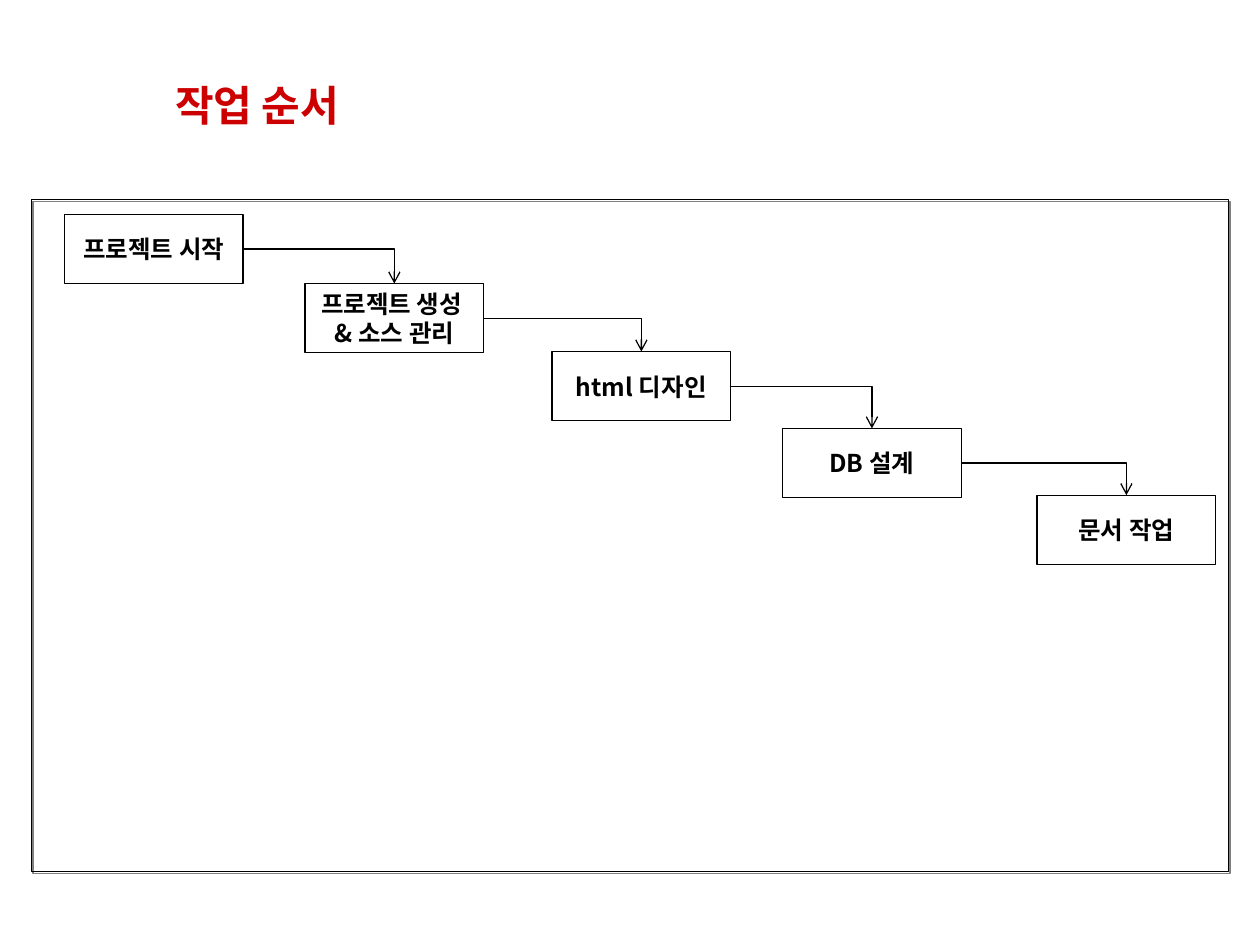
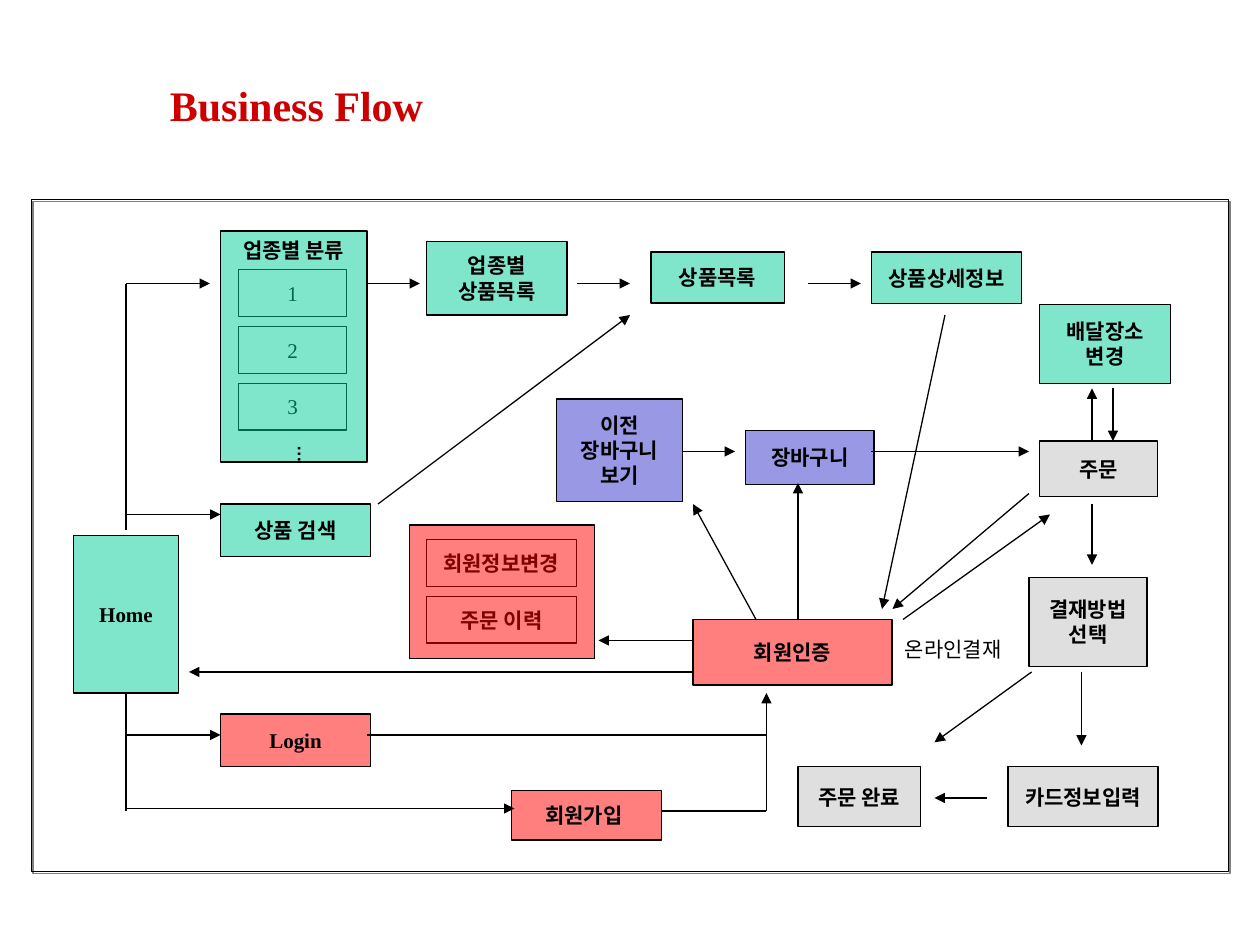
from lxml import etree
from pptx import Presentation
from pptx import util as u
from pptx.dml.color import RGBColor
from pptx.enum import shapes, text
from pptx.oxml import ns

BLACK = RGBColor(0x00, 0x00, 0x00)
WHITE = RGBColor(0xFF, 0xFF, 0xFF)
RED = RGBColor(0xCC, 0x00, 0x00)
SHOP = RGBColor(0x00, 0xCC, 0x99)
CART = RGBColor(0x33, 0x33, 0xCC)
MEMBER = RGBColor(0xFF, 0x00, 0x00)
ORDER = RGBColor(0xC0, 0xC0, 0xC0)
SERIF, KOREAN, SANS = "Times New Roman", "Noto Sans CJK KR", "Arial"

# Every place is in grid cells of 1/12 inch: left, top, width, height.
CELL = u.Inches(1) / 12
COLS, ROWS = 120, 90
FRAME = (3, 19, 114, 64)

STEP_SIZE = (17.04, 6.6)
STEPS = [
    ("프로젝트 시작", 6.12, 20.4),
    ("프로젝트 생성 \n& 소스 관리", 29.04, 27),
    ("html 디자인", 52.56, 33.48),
    ("DB 설계", 74.52, 40.8),
    ("문서 작업", 98.76, 47.16),
]

CATEGORIES = ["1", "2", "3"]
CATEGORY_FIRST, CATEGORY_PITCH = (22.75, 25.7, 10.25, 4.45), 5.4
ACCOUNT_ITEMS = ["회원정보변경", "주문 이력"]
ACCOUNT_FIRST, ACCOUNT_PITCH = (40.6, 51.4, 14.3, 4.45), 5.4
CATEGORY_PANEL = ("업종별 분류", SHOP, (21, 22, 13.95, 22))
ACCOUNT_PANEL = ("", MEMBER, (39, 50, 17.65, 12.75))

STAGES = [
    ("Home", SHOP, (7, 51, 10, 15)),
    ("업종별\n상품목록", SHOP, (40.65, 23, 13.35, 7)),
    ("상품목록", SHOP, (62, 24, 12.7, 4.85)),
    ("상품상세정보", SHOP, (83, 24, 14.3, 4.9)),
    ("상품 검색", SHOP, (21, 48, 14.3, 5)),
    ("배달장소\n변경", SHOP, (99, 29, 12.5, 7.5)),
    ("이전\n장바구니\n보기", CART, (53, 38, 12, 9.75)),
    ("장바구니", CART, (71, 41, 12.25, 5.15)),
    ("주문", ORDER, (99, 42, 11.25, 5.3)),
    ("결재방법\n선택", ORDER, (98, 55, 11.25, 8.45)),
    ("카드정보입력", ORDER, (96, 73, 14.3, 5.75)),
    ("주문 완료", ORDER, (76, 73, 11.65, 5.75)),
    ("회원인증", MEMBER, (66, 59, 18.95, 6.25)),
    ("회원가입 ", MEMBER, (48.7, 75.3, 14.3, 4.7)),
    ("Login", MEMBER, (21, 68, 14.3, 5)),
]

PLAIN_LINES = [
    (12, 50.5, 12, 27), (12, 66, 12, 77.25),
    (35, 70, 73, 70), (63, 77.25, 73, 77.25),
]
ARROWS = [
    # Home to the catalogue and the member area
    (12, 27, 20, 27), (12, 49, 21, 49), (12, 70, 21, 70), (12, 77, 49, 77),
    # Along the catalogue
    (35, 27, 40, 27), (55, 27, 60, 27), (77, 27, 82, 27), (36, 48, 60, 30),
    # Into and out of member verification
    (90, 30, 84, 58), (98, 47, 85, 58), (86, 59, 100, 49), (72, 59, 66, 48),
    (76, 59, 76, 46), (66, 61, 57, 61), (66, 64, 18, 64), (73, 77.25, 73, 66),
    # Cart, order and payment
    (65, 43, 70, 43), (83, 43, 98, 43), (104, 42, 104, 37), (106, 37, 106, 42),
    (104, 48, 104, 53.8), (98.25, 64, 89, 70.7), (103, 64, 103, 71),
    (94, 76, 89, 76),
]


def cells(*values):
    return [round(v * CELL) for v in values]


def write(s, words, size=12, bold=True, font=SERIF, color=BLACK, align=None):
    """Fill a shape with one paragraph per line of words."""
    tf = s.text_frame
    tf.word_wrap = False
    for i, line in enumerate(words.split("\n")):
        p = tf.paragraphs[0] if i == 0 else tf.add_paragraph()
        p.alignment = align
        r = p.add_run()
        r.text = line
        r.font.size, r.font.bold, r.font.name = u.Pt(size), bold, font
        r.font.color.rgb = color
        ea = etree.SubElement(r._r.get_or_add_rPr(), ns.qn("a:ea"))
        ea.set("typeface", KOREAN)
    return tf


def add_label(slide, words, place, **style):
    return write(slide.shapes.add_textbox(*cells(*place)), words, **style)


def add_box(slide, place, words="", fill=None, alpha=None, **style):
    s = slide.shapes.add_shape(shapes.MSO_SHAPE.RECTANGLE, *cells(*place))
    s.shadow.inherit = False
    s.line.color.rgb, s.line.width = BLACK, u.Pt(0.75)
    if fill is None:
        s.fill.background()
    else:
        s.fill.solid()
        s.fill.fore_color.rgb = fill
    if alpha:
        clr = s._element.spPr.find(ns.qn("a:solidFill"))[0]
        etree.SubElement(clr, ns.qn("a:alpha")).set("val", str(alpha * 1000))
    if words:
        tf = write(s, words, align=text.PP_ALIGN.CENTER, **style)
        tf.vertical_anchor = text.MSO_ANCHOR.MIDDLE
    return s


def add_line(slide, ends, kind=shapes.MSO_CONNECTOR.STRAIGHT, arrow=None):
    c = slide.shapes.add_connector(kind, *cells(*ends))
    c.line.color.rgb, c.line.width = BLACK, u.Pt(0.75)
    if arrow:
        tail = etree.SubElement(c.line._get_or_add_ln(), ns.qn("a:tailEnd"))
        tail.set("type", arrow)
    etree.SubElement(c._element.spPr, ns.qn("a:effectLst"))
    return c


def add_page(prs, title, place):
    """Start a slide with the shadowed frame and the red title."""
    slide = prs.slides.add_slide(prs.slide_layouts[6])
    frame = add_box(slide, FRAME)
    effects = frame._element.spPr.find(ns.qn("a:effectLst"))
    shadow = etree.SubElement(effects, ns.qn("a:outerShdw"), dist=str(u.Pt(1.4)),
                              dir=str(45 * 60000), algn="ctr", rotWithShape="0")
    etree.SubElement(shadow, ns.qn("a:srgbClr"), val="808080")
    add_label(slide, title, place, size=24, color=RED)
    return slide


def add_stack(slide, items, first, pitch, **style):
    left, top, width, height = first
    for i, item in enumerate(items):
        add_box(slide, (left, top + i * pitch, width, height), item, **style)


def build_work_order(prs):
    slide = add_page(prs, "작업 순서", (15.5, 7, 18.25, 6))
    boxes = [add_box(slide, (x, y, *STEP_SIZE), words, WHITE, size=14, font=KOREAN)
             for words, x, y in STEPS]
    for start, end in zip(boxes, boxes[1:]):
        c = add_line(slide, (0, 0, 1, 1), shapes.MSO_CONNECTOR.ELBOW, "arrow")
        c._element.spPr.find(ns.qn("a:prstGeom")).set("prst", "bentConnector2")
        c.begin_connect(start, 3)
        c.end_connect(end, 0)


def build_business_flow(prs):
    slide = add_page(prs, "Business Flow", (15, 7, 26.5, 6))
    # The translucent panels lie over the items they hold.
    add_stack(slide, CATEGORIES, CATEGORY_FIRST, CATEGORY_PITCH, bold=False)
    add_stack(slide, ACCOUNT_ITEMS, ACCOUNT_FIRST, ACCOUNT_PITCH)
    for words, fill, place in [CATEGORY_PANEL, ACCOUNT_PANEL]:
        panel = add_box(slide, place, words, fill, alpha=50)
        panel.text_frame.vertical_anchor = text.MSO_ANCHOR.TOP
    for words, fill, place in STAGES:
        add_box(slide, place, words, fill, alpha=50)
    for ends in PLAIN_LINES:
        add_line(slide, ends)
    for ends in ARROWS:
        add_line(slide, ends, arrow="triangle")

    tf = add_label(slide, "…", (26, 41.2, 4.3, 2.9), size=10, font=SANS)
    tf.margin_left = tf.margin_right = u.Inches(0.05)
    tf.margin_top = tf.margin_bottom = u.Inches(0.1)
    tf._txBody.bodyPr.set("vert", "eaVert")
    tf = add_label(slide, "온라인결재", (85, 60, 13, 3.6), bold=False)
    tf.word_wrap = True
    tf.paragraphs[0].space_before = u.Pt(7.5)


def main():
    prs = Presentation()
    prs.slide_width, prs.slide_height = cells(COLS, ROWS)
    build_work_order(prs)
    build_business_flow(prs)
    prs.save("out.pptx")


if __name__ == "__main__":
    main()
